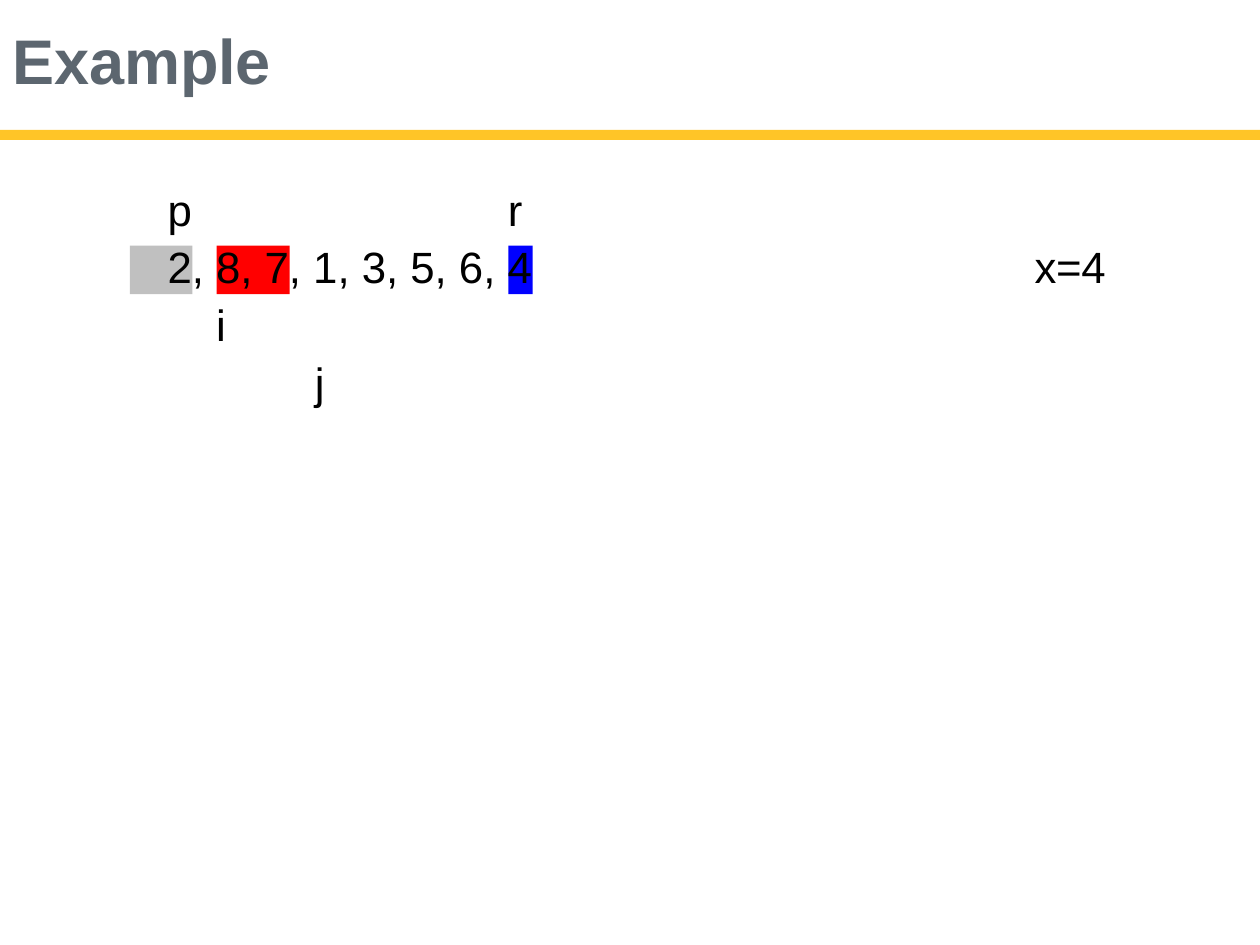
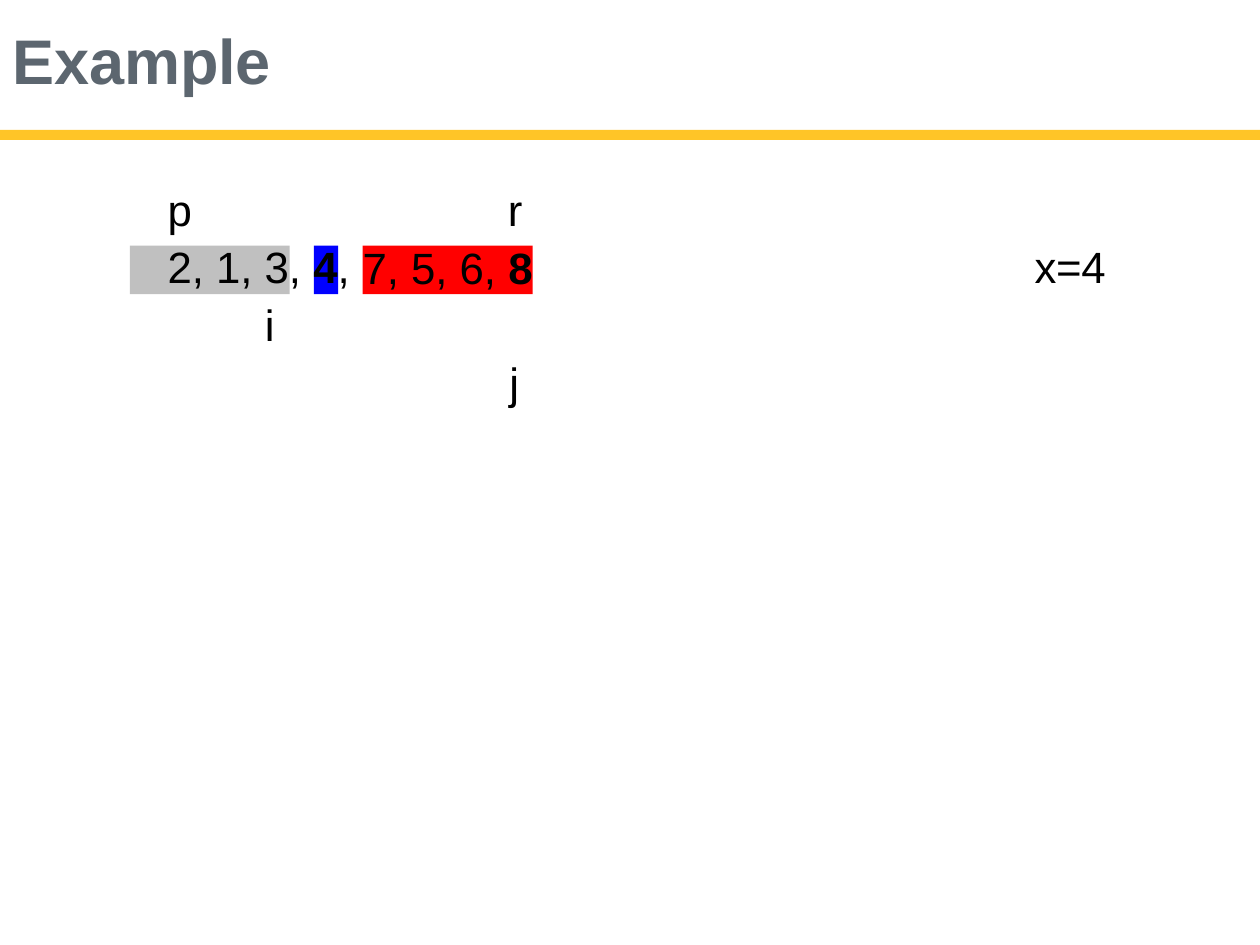
import dataclasses

import pptx
import pptx.dml.color
import pptx.enum.shapes
import pptx.enum.text
import pptx.util

Cm = pptx.util.Cm
Pt = pptx.util.Pt


@dataclasses.dataclass(frozen=True)
class Theme:
    font: str = "Arial"
    title_size: int = 36
    text_size: int = 25
    title: str = "5C666F"
    text: str = "000000"
    band: str = "FFC527"
    smaller: str = "C0C0C0"
    larger: str = "FF0000"
    pivot: str = "0000FF"


@dataclasses.dataclass(frozen=True)
class Box:
    left: float
    top: float
    width: float
    height: float

    def inner(self, left, top, width, height):
        return Box(self.left + left, self.top + top, width, height)

    def lengths(self):
        return Cm(self.left), Cm(self.top), Cm(self.width), Cm(self.height)


@dataclasses.dataclass(frozen=True)
class Run:
    text: str
    spacing: float = 0
    bold: bool = False


@dataclasses.dataclass(frozen=True)
class Line:
    runs: tuple
    before: float = 0.9
    indent: float = 0.03


THEME = Theme()
BAND = Box(0, 2.62, 25.4, 0.2)
TITLE = Box(0.23, 0.4, 23.14, 1.6)
ARRAY = Box(2.62, 3.53, 19.71, 4.73)
FIRST_CELL = 0.77
CELL_PITCH = 0.98
DIGIT_WIDTH = 0.49
TEXT_OFFSET = 0.04
LABEL_ROW = 0.13
VALUE_ROW = 1.28
HIGHLIGHT_ROW = 1.42
POINTER_ROW = 2.32
ROW_HEIGHT = 1.12
HIGHLIGHT_HEIGHT = 0.98
PAIR_HEIGHT = 2.39


def rgb(value):
    return pptx.dml.color.RGBColor.from_string(value)


def cell_left(index):
    return FIRST_CELL + index * CELL_PITCH


def prepare_frame(frame, top_inset=0):
    frame.word_wrap = True
    frame.auto_size = pptx.enum.text.MSO_AUTO_SIZE.NONE
    frame.vertical_anchor = pptx.enum.text.MSO_ANCHOR.TOP
    frame.margin_left = frame.margin_right = frame.margin_bottom = 0
    frame.margin_top = Cm(top_inset)


def add_run(paragraph, content, size, color):
    run = paragraph.add_run()
    run.text = content.text
    run.font.name = THEME.font
    run.font.size = Pt(size)
    run.font.bold = content.bold
    run.font.color.rgb = rgb(color)
    if content.spacing:
        run.font._element.set("spc", str(round(content.spacing * 100)))


def fill_paragraph(paragraph, line, size=THEME.text_size, color=THEME.text):
    paragraph.alignment = pptx.enum.text.PP_ALIGN.LEFT
    paragraph.space_before = Pt(line.before)
    properties = paragraph._p.get_or_add_pPr()
    properties.set("marL", str(Cm(line.indent)))
    properties.set("indent", "0")
    for content in line.runs:
        add_run(paragraph, content, size, color)


def add_text(slide, box, lines, top_inset=0.03):
    frame = slide.shapes.add_textbox(*box.lengths()).text_frame
    prepare_frame(frame, top_inset)
    for number, line in enumerate(lines):
        paragraph = frame.add_paragraph() if number else frame.paragraphs[0]
        fill_paragraph(paragraph, line)


def add_rectangle(slide, box, color):
    shape = slide.shapes.add_shape(
        pptx.enum.shapes.MSO_SHAPE.RECTANGLE, *box.lengths()
    )
    shape.shadow.inherit = False
    shape.fill.solid()
    shape.fill.fore_color.rgb = rgb(color)
    shape.line.fill.background()
    return shape


def add_highlight(slide, box, first, last, color, lead=0):
    width = (last - first) * CELL_PITCH + DIGIT_WIDTH + lead
    left = cell_left(first) - lead
    area = box.inner(left, HIGHLIGHT_ROW, width, HIGHLIGHT_HEIGHT)
    return add_rectangle(slide, area, color)


def add_bounds(slide, box):
    for label, index in (("p", 0), ("r", 7)):
        left = cell_left(index) - TEXT_OFFSET
        area = box.inner(left, LABEL_ROW, 0.56, ROW_HEIGHT)
        add_text(slide, area, [Line((Run(label, -0.5),))])


def add_values(slide, box, runs, width):
    left = cell_left(0) - TEXT_OFFSET
    area = box.inner(left, VALUE_ROW, width, ROW_HEIGHT)
    add_text(slide, area, [Line(runs)])


def add_pivot_value(slide, box):
    area = box.inner(18.21, VALUE_ROW, 1.5, ROW_HEIGHT)
    add_text(slide, area, [Line((Run("x=4", -0.2),))])


def add_pointers(slide, box, i, j):
    distance = (j - i) * CELL_PITCH + 0.06
    left = cell_left(i) - TEXT_OFFSET
    area = box.inner(left, POINTER_ROW, distance + 0.3, PAIR_HEIGHT)
    lines = [
        Line((Run("i", -0.5),), before=4),
        Line((Run("j", -0.5),), before=3, indent=distance),
    ]
    add_text(slide, area, lines, top_inset=0.15)


def draw_scanning_array(slide, box):
    add_highlight(slide, box, 0, 0, THEME.smaller, lead=FIRST_CELL)
    add_highlight(slide, box, 1, 2, THEME.larger)
    add_highlight(slide, box, 7, 7, THEME.pivot)
    add_bounds(slide, box)
    runs = (Run("2, 8, 7, 1, 3, 5, 6, "), Run("4", -0.5))
    add_values(slide, box, runs, 7.5)
    add_pivot_value(slide, box)
    add_pointers(slide, box, 1, 3)


def draw_partitioned_array(slide, box):
    add_highlight(slide, box, 0, 2, THEME.smaller, lead=FIRST_CELL)
    add_highlight(slide, box, 3, 3, THEME.pivot)
    add_bounds(slide, box)
    runs = (Run("2, 1, 3, "), Run("4", -0.2, True), Run(","))
    add_values(slide, box, runs, 3.8)
    larger = add_highlight(slide, box, 4, 7, THEME.larger)
    prepare_frame(larger.text_frame)
    paragraph = larger.text_frame.paragraphs[0]
    paragraph.line_spacing = Pt(27.2)
    runs = (Run("7, 5, 6, "), Run("8", -0.5, True))
    fill_paragraph(paragraph, Line(runs, before=0, indent=0))
    add_pivot_value(slide, box)
    add_pointers(slide, box, 2, 7)


def add_title(slide, box, text):
    title = slide.shapes.title
    title.left, title.top, title.width, title.height = box.lengths()
    prepare_frame(title.text_frame, 0.03)
    line = Line((Run(text, -0.1, True),), before=1)
    fill_paragraph(
        title.text_frame.paragraphs[0], line, THEME.title_size, THEME.title
    )


def move_to_layout(shape, layout):
    layout.shapes.element.append(shape.element)


def main():
    presentation = pptx.Presentation()
    presentation.slide_width = Cm(25.4)
    presentation.slide_height = Cm(19.05)
    layout = presentation.slide_layouts[5]
    for number, draw in enumerate((draw_scanning_array, draw_partitioned_array)):
        slide = presentation.slides.add_slide(layout)
        if number == 0:
            move_to_layout(add_rectangle(slide, BAND, THEME.band), layout)
        add_title(slide, TITLE, "Example")
        draw(slide, ARRAY)
    presentation.save("out.pptx")


if __name__ == "__main__":
    main()
